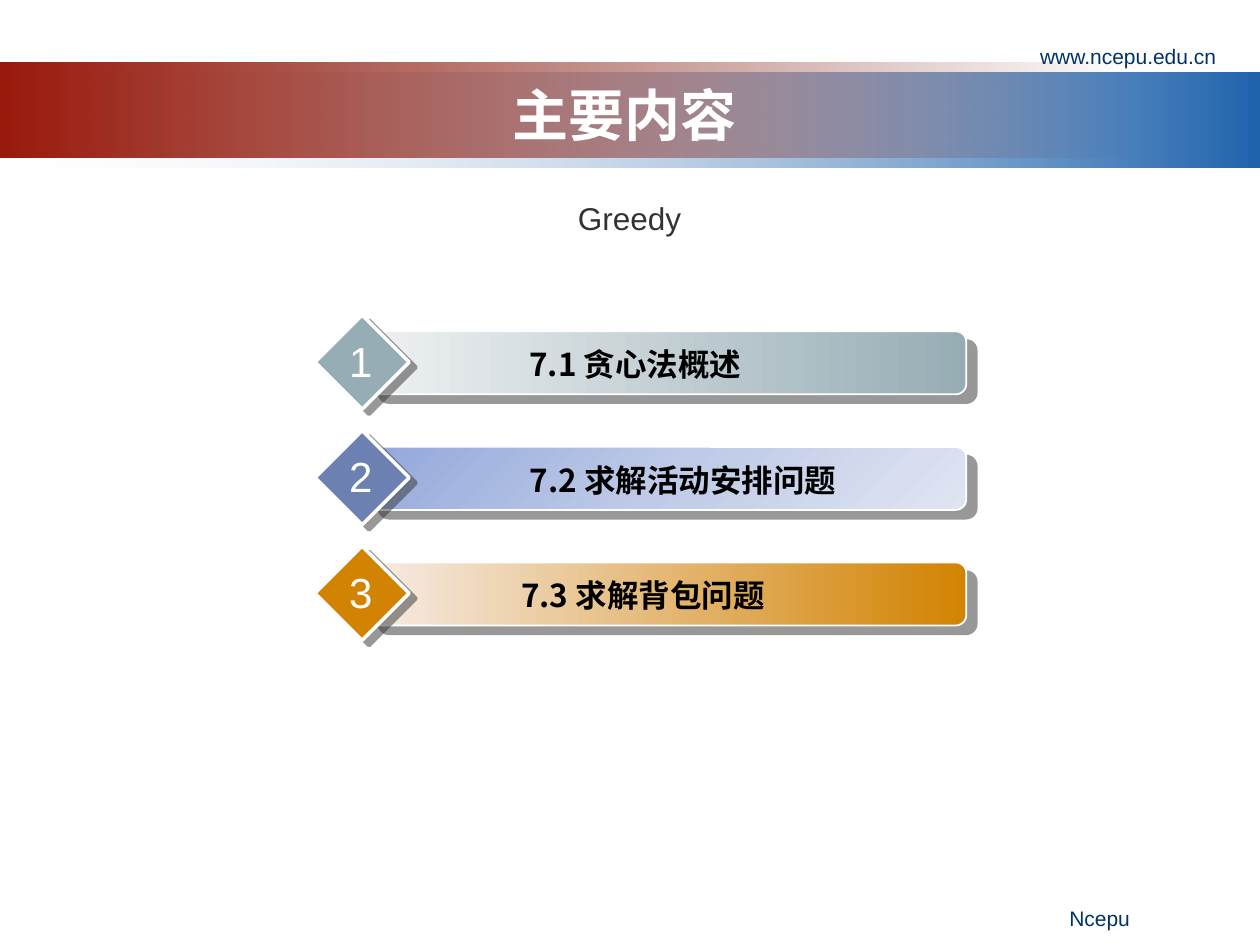
from lxml.etree import SubElement
from pptx import Presentation
from pptx.dml.color import RGBColor
from pptx.enum.shapes import MSO_SHAPE
from pptx.enum.text import MSO_ANCHOR, PP_ALIGN
from pptx.oxml.ns import qn
from pptx.util import Cm, Pt

WHITE = RGBColor(0xFF, 0xFF, 0xFF)
BLACK = RGBColor(0x00, 0x00, 0x00)
CHARCOAL = RGBColor(0x33, 0x33, 0x33)
NAVY = RGBColor(0x00, 0x33, 0x66)
MIST = RGBColor(0xF1, 0xF2, 0xF7)
BLUE = RGBColor(0x1F, 0x63, 0xAD)
RED = RGBColor(0x99, 0x19, 0x0B)
DARK_RED = RGBColor(0x6D, 0x12, 0x08)
PALE_TEAL = RGBColor(0xEE, 0xF1, 0xF2)
TEAL = RGBColor(0x97, 0xAD, 0xB5)
PERIWINKLE = RGBColor(0x93, 0xA8, 0xDB)
LIGHT_PERIWINKLE = RGBColor(0xBE, 0xCA, 0xE7)
PALE_PERIWINKLE = RGBColor(0xE0, 0xE5, 0xF2)
INDIGO = RGBColor(0x6C, 0x81, 0xB2)
CREAM = RGBColor(0xF6, 0xEC, 0xE6)
ORANGE = RGBColor(0xD2, 0x83, 0x02)

LATIN = "Arial"
CHINESE = "Noto Sans CJK SC"

# Left, top, width, height in cm; stops are (position %, colour, opacity %)
BANDS = [
    ((0, 1.47, 25.4, 1.91), [(0, MIST, 0), (100, BLUE, 100)]),
    ((0, 1.27, 22.86, 1.91), [(0, RED, 100), (100, DARK_RED, 0)]),
]
# Heading, its left and width in cm, diamond colour, bar stops, bar angle
SECTIONS = [
    ("7.1 贪心法概述", 8.05, 9.52, TEAL,
     [(0, PALE_TEAL, 100), (100, TEAL, 100)], 0),
    ("7.2 求解活动安排问题", 8.05, 11.43, INDIGO,
     [(0, PERIWINKLE, 100), (50, LIGHT_PERIWINKLE, 100),
      (100, PALE_PERIWINKLE, 100)], 45),
    ("7.3 求解背包问题", 8.2, 9.52, ORANGE,
     [(0, CREAM, 100), (100, ORANGE, 100)], 0),
]
FIRST_TOP, PITCH = 6.35, 2.33


def add_color(parent, color, opacity):
    element = SubElement(parent, qn("a:srgbClr"), val=str(color))
    if opacity < 100:
        SubElement(element, qn("a:alpha"), val=str(opacity * 1000))


def set_gradient(shape, stops, angle=0):
    shape.fill.solid()
    properties = shape.element.spPr
    gradient = SubElement(properties, qn("a:gradFill"), rotWithShape="1")
    stop_list = SubElement(gradient, qn("a:gsLst"))
    for position, color, opacity in stops:
        stop = SubElement(stop_list, qn("a:gs"), pos=str(position * 1000))
        add_color(stop, color, opacity)
    SubElement(gradient, qn("a:lin"), ang=str(angle * 60000), scaled="0")
    properties.replace(properties.find(qn("a:solidFill")), gradient)


def set_shadow(shape, distance, angle):
    effects = shape.element.spPr.find(qn("a:effectLst"))
    shadow = SubElement(effects, qn("a:outerShdw"), dist=str(Pt(distance)),
                        dir=str(angle * 60000), algn="ctr", rotWithShape="0")
    add_color(shadow, CHARCOAL, 50)


def add_shape(shapes, kind, place, outline=0):
    shape = shapes.add_shape(kind, *map(Cm, place))
    shape.shadow.inherit = False
    if outline:
        shape.line.color.rgb = WHITE
        shape.line.width = Pt(outline)
    else:
        shape.line.fill.background()
    return shape


def add_text(shapes, text, place, size, color, font=LATIN, bold=False,
             align=PP_ALIGN.CENTER, anchor=MSO_ANCHOR.TOP, wrap=True):
    box = shapes.add_textbox(*map(Cm, place))
    frame = box.text_frame
    frame.word_wrap = wrap
    frame.vertical_anchor = anchor
    para = frame.paragraphs[0]
    para.alignment = align
    span = para.add_run()
    span.text = text
    span.font.size = Pt(size)
    span.font.bold = bold
    span.font.color.rgb = color
    span.font.name = font
    SubElement(span.font._element, qn("a:ea"), typeface=font)


def add_section(page, number, heading, left, width, color, stops, angle):
    top = FIRST_TOP + (number - 1) * PITCH
    shapes = page.shapes.add_group_shape().shapes
    bar = add_shape(shapes, MSO_SHAPE.ROUNDED_RECTANGLE,
                    (7.42, top + 0.33, 12.06, 1.27), outline=1)
    set_gradient(bar, stops, angle)
    set_shadow(bar, 7.8, 40)
    diamond = add_shape(shapes, MSO_SHAPE.DIAMOND,
                        (6.35, top, 1.9, 1.9), outline=2)
    diamond.fill.solid()
    diamond.fill.fore_color.rgb = color
    set_shadow(diamond, 5, 37)
    add_text(shapes, heading, (left, top + 0.48, width, 1.02), 18, BLACK,
             font=CHINESE, bold=True)
    add_text(shapes, str(number), (6.78, top + 0.28, 0.99, 1.29), 24, WHITE,
             wrap=False)


def main():
    deck = Presentation()
    deck.slide_width, deck.slide_height = Cm(25.4), Cm(19.05)
    page = deck.slides.add_slide(deck.slide_layouts[6])
    for place, stops in BANDS:
        set_gradient(add_shape(page.shapes, MSO_SHAPE.RECTANGLE, place), stops)
    add_text(page.shapes, "主要内容", (2.33, 1.52, 20.52, 1.58), 32, WHITE,
             font=CHINESE, bold=True, anchor=MSO_ANCHOR.MIDDLE)
    add_text(page.shapes, "www.ncepu.edu.cn", (18.84, 0.76, 5.93, 0.69), 12,
             NAVY, align=PP_ALIGN.RIGHT)
    add_text(page.shapes, "Ncepu", (14.98, 18.13, 8.05, 0.76), 12, NAVY,
             align=PP_ALIGN.RIGHT)
    add_text(page.shapes, "Greedy", (11.4, 3.89, 2.62, 1.02), 18, CHARCOAL,
             align=PP_ALIGN.LEFT, wrap=False)
    for number, section in enumerate(SECTIONS, start=1):
        add_section(page, number, *section)
    deck.save("out.pptx")


if __name__ == "__main__":
    main()
